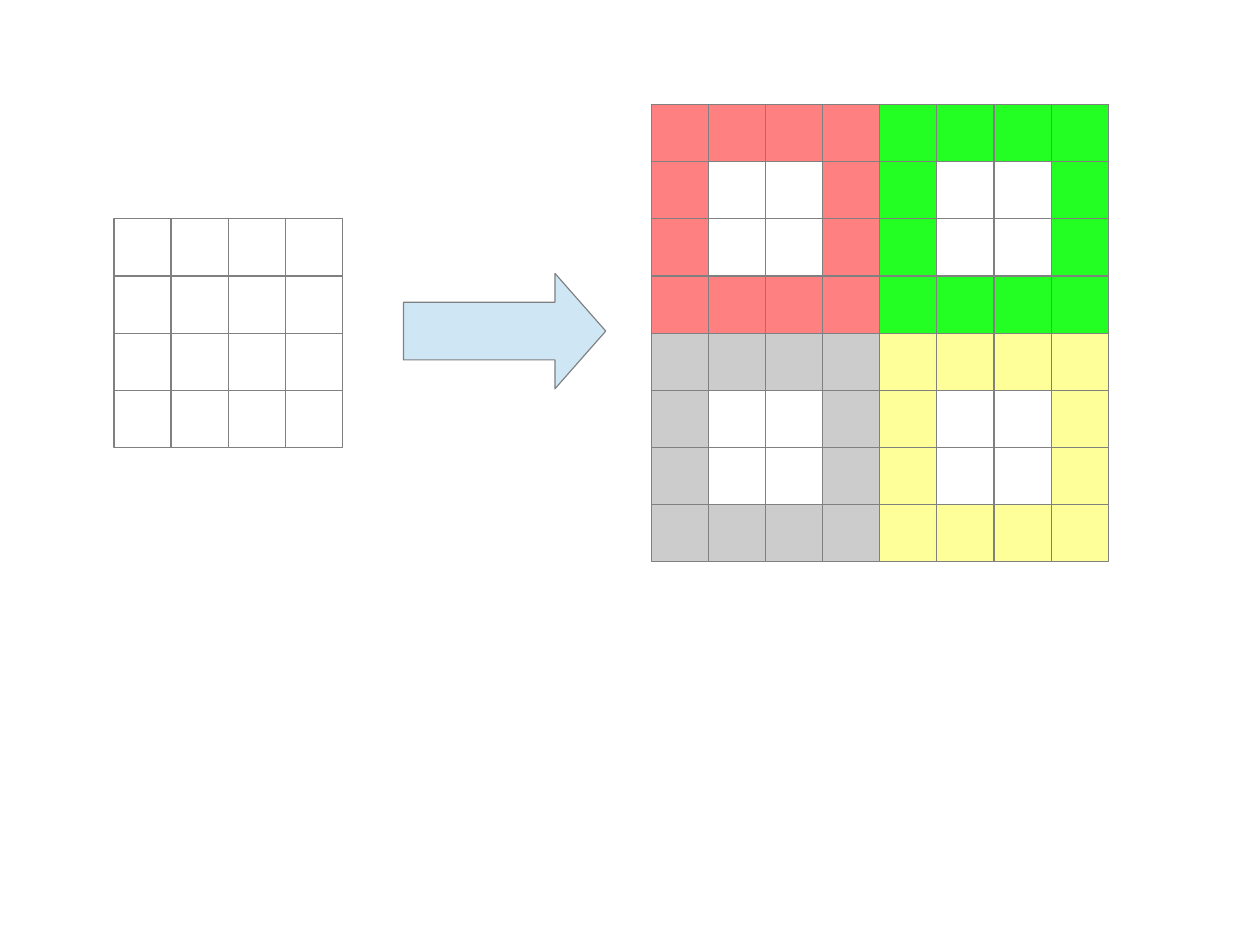
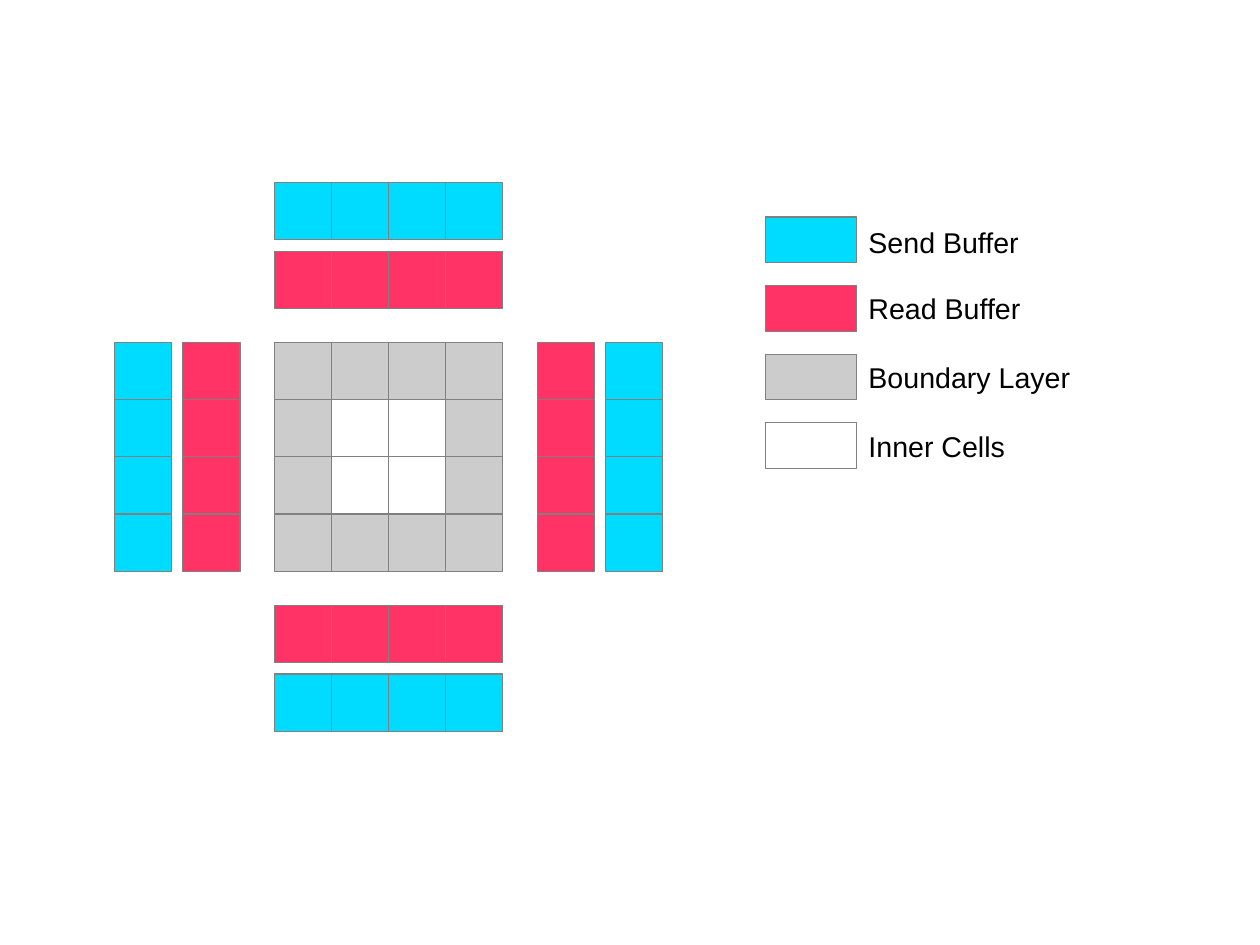
from itertools import product
from pptx import Presentation
from pptx import util as u
from pptx.dml import color as c
from pptx.enum import shapes, text

CELL = 36
SIDE = 4 * CELL
GREY, WHITE, EDGE, INK = "CCCCCC", "FFFFFF", "808080", "000000"
SEND, READ = "00DCFF", "FF3366"
FONT = {"name": "Arial", "size": u.Pt(18)}
FRAME = {
    "word_wrap": True,
    "auto_size": text.MSO_AUTO_SIZE.SHAPE_TO_FIT_TEXT,
    "margin_left": u.Pt(7.2),
    "margin_right": u.Pt(7.2),
    "margin_top": u.Pt(3.6),
    "margin_bottom": u.Pt(3.6),
}


def tint(form, code):
    """Set a colour from its hex code."""
    form.rgb = c.RGBColor.from_string(code)


def style(item, values):
    """Set attributes from a dict of values."""
    for key, value in values.items():
        setattr(item, key, value)


def draw(slide, box, fill, kind=shapes.MSO_SHAPE.RECTANGLE):
    """Draw a filled shape with a hairline edge."""
    shape = slide.shapes.add_shape(kind, *map(u.Pt, box))
    shape.shadow.inherit = False
    shape.fill.solid()
    tint(shape.fill.fore_color, fill)
    tint(shape.line.color, EDGE)
    shape.line.width = u.Pt(0)
    return shape


def grid(slide, x, y, cols, rows, edge, core=None):
    """Draw a grid of cells, with an optional other colour inside."""
    for row, col in product(range(rows), range(cols)):
        inner = 0 < row < rows - 1 and 0 < col < cols - 1
        fill = core if core and inner else edge
        draw(slide, (x + col * CELL, y + row * CELL, CELL, CELL), fill)


def label(slide, x, y, words):
    """Write one line of legend text."""
    box = slide.shapes.add_textbox(*map(u.Pt, (x, y, 151.2, 27.36)))
    style(box.text_frame, FRAME)
    run = box.text_frame.paragraphs[0].add_run()
    run.text = words
    style(run.font, FONT)
    tint(run.font.color, INK)


def split(slide):
    """Show one grid being split into four bordered blocks."""
    tones = ("FF8080", "23FF23", GREY, "FFFF99")
    for (row, col), tone in zip(product(range(2), repeat=2), tones):
        grid(slide, 410.2 + col * SIDE, 65.9 + row * SIDE, 4, 4, tone, WHITE)
    grid(slide, 71.8, 137.9, 4, 4, WHITE)
    arrow = draw(slide, (254.16, 172.2, 127.44, 72.72), "CFE7F5",
                 shapes.MSO_SHAPE.RIGHT_ARROW)
    arrow.adjustments[0] = 0.5
    arrow.adjustments[1] = 0.44


def buffers(slide):
    """Show a block with its buffers on all four sides."""
    x, y = 172.8, 215.8
    grid(slide, x, y, 4, 4, GREY, WHITE)
    for gap, tone in ((21.6, READ), (64.8, SEND)):
        for shift in (-gap - CELL, SIDE + gap):
            grid(slide, x + shift, y, 1, 4, tone)
            grid(slide, x, y + shift, 4, 1, tone)


def legend(slide):
    """List the meaning of each colour."""
    keys = (("Send Buffer", SEND, 138.24), ("Read Buffer", READ, 179.7),
            ("Boundary Layer", GREY, 223.2), ("Inner Cells", WHITE, 266.4))
    for i, (words, tone, y) in enumerate(keys):
        draw(slide, (482.2, 136.7 + i * 43.2, 57.6, 28.8), tone)
        label(slide, 540, y, words)


def main():
    """Build and save both slides."""
    deck = Presentation()
    deck.slide_width = u.Pt(793.7)
    deck.slide_height = u.Pt(595.28)
    blank = deck.slide_layouts[6]
    first = deck.slides.add_slide(blank)
    split(first)
    second = deck.slides.add_slide(blank)
    buffers(second)
    legend(second)
    deck.save("out.pptx")


if __name__ == "__main__":
    main()
